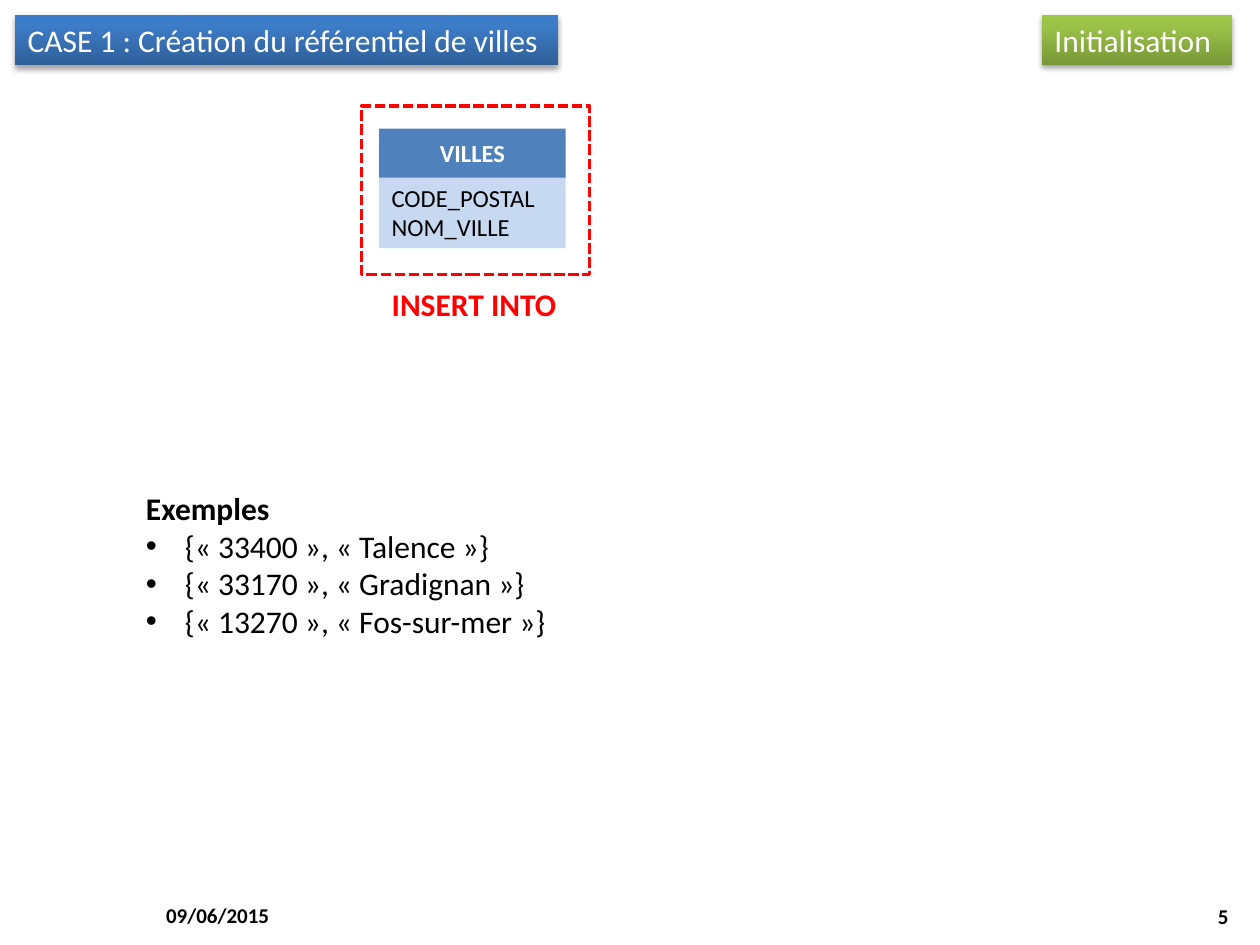
from lxml.etree import SubElement
from copy import deepcopy
from pptx import Presentation
from pptx.dml.color import RGBColor
from pptx.enum.dml import MSO_LINE
from pptx.enum.shapes import MSO_SHAPE
from pptx.enum.text import MSO_ANCHOR, MSO_AUTO_SIZE, PP_ALIGN
from pptx.oxml.ns import qn
from pptx.util import Inches, Pt

FONT = "Calibri"
BLACK, WHITE, RED = "000000", "FFFFFF", "FF0000"
BLUE = ("2F5F99", "3D7CC7", "3A7CCB")
GREEN = ("779737", "9BC348", "9DC746")
STOPS = (0, 0.8, 1)
INDENT = Inches(0.31)


def color(code):
    return RGBColor.from_string(code)


class Deck:
    def __init__(self):
        self.prs = Presentation()
        self.prs.slide_width = Inches(10)
        self.prs.slide_height = Inches(7.5)
        self.slide = self.prs.slides.add_slide(self.prs.slide_layouts[5])

    def place(self, shape, box):
        shape.left, shape.top, shape.width, shape.height = map(Inches, box)

    def letter(self, shape, text, size=18, ink=BLACK, bold=False,
               align=PP_ALIGN.LEFT, anchor=MSO_ANCHOR.TOP, wrap=True):
        frame = shape.text_frame
        frame.text = text
        frame.word_wrap = wrap
        frame.auto_size = MSO_AUTO_SIZE.NONE
        frame.vertical_anchor = anchor
        for para in frame.paragraphs:
            para.alignment = align
            for run in para.runs:
                font = run.font
                font.name, font.size, font.bold = FONT, Pt(size), bold
                font.color.rgb = color(ink)

    def shade(self, shape, tones):
        fill = shape.fill
        fill.gradient()
        fill.gradient_angle = 90
        last = next(shape._element.iter(qn("a:gsLst")))[-1]
        last.addnext(deepcopy(last))
        for stop, tone, spot in zip(fill.gradient_stops, tones, STOPS):
            stop.color.rgb = color(tone)
            stop.position = spot

    def shadow(self, shape):
        shape.shadow.inherit = False
        effects = next(shape._element.iter(qn("a:effectLst")))
        outer = SubElement(effects, qn("a:outerShdw"), blurRad=str(Pt(3.1)),
                           dist=str(Pt(1.8)), dir="5400000", rotWithShape="0")
        tint = SubElement(outer, qn("a:srgbClr"), val=BLACK)
        SubElement(tint, qn("a:alpha"), val="35000")

    def banner(self, shape, text, tones, wrap):
        shape.line.fill.background()
        self.shade(shape, tones)
        self.shadow(shape)
        self.letter(shape, text, ink=WHITE, wrap=wrap)

    def title(self, box, text, tones):
        shape = self.slide.shapes.title
        self.place(shape, box)
        self.banner(shape, text, tones, False)

    def tag(self, box, text, tones):
        shape = self.slide.shapes.add_shape(MSO_SHAPE.RECTANGLE, *map(Inches, box))
        self.banner(shape, text, tones, True)

    def block(self, group, kind, box, fill, text, **style):
        shape = group.shapes.add_shape(kind, *map(Inches, box))
        shape.shadow.inherit = False
        shape.fill.solid()
        shape.fill.fore_color.rgb = color(fill)
        shape.line.fill.background()
        self.letter(shape, text, size=14, **style)
        return shape

    def entity(self, left, top, width, name, fields):
        group = self.slide.shapes.add_group_shape()
        self.block(group, MSO_SHAPE.RECTANGLE, (left, top + 0.38, width, 0.57),
                   "C6D9F1", "\n".join(fields))
        head = self.block(group, MSO_SHAPE.SNIP_2_SAME_RECTANGLE,
                          (left, top, width, 0.39), "4F81BD", name, ink=WHITE,
                          bold=True, align=PP_ALIGN.CENTER,
                          anchor=MSO_ANCHOR.MIDDLE)
        head.adjustments[0] = head.adjustments[1] = 0

    def frame(self, box):
        shape = self.slide.shapes.add_shape(MSO_SHAPE.RECTANGLE, *map(Inches, box))
        shape.shadow.inherit = False
        shape.fill.background()
        shape.line.color.rgb = color(RED)
        shape.line.width = Pt(2)
        shape.line.dash_style = MSO_LINE.SQUARE_DOT

    def label(self, box, text, **style):
        shape = self.slide.shapes.add_textbox(*map(Inches, box))
        self.letter(shape, text, **style)
        return shape

    def bullets(self, box, head, items):
        shape = self.label(box, "\n".join([head, *items]), wrap=False)
        first, *rest = shape.text_frame.paragraphs
        first.runs[0].font.bold = True
        for para in rest:
            props = para._p.get_or_add_pPr()
            props.set("marL", str(INDENT))
            props.set("indent", str(-INDENT))
            SubElement(props, qn("a:buFont"), typeface="Arial")
            SubElement(props, qn("a:buChar"), char="•")


def main():
    deck = Deck()
    foot = dict(size=12, bold=True, anchor=MSO_ANCHOR.MIDDLE)
    deck.label((1.22, 7.06, 2.33, 0.4), "09/06/2015", **foot)
    deck.label((7.52, 7.07, 2.33, 0.4), "5", align=PP_ALIGN.RIGHT, **foot)
    deck.title((0.12, 0.12, 4.31, 0.4),
               "CASE 1 : Création du référentiel de villes", BLUE)
    deck.tag((8.27, 0.12, 1.51, 0.4), "Initialisation", GREEN)
    deck.entity(3.01, 1.02, 1.48, "VILLES", ("CODE_POSTAL", "NOM_VILLE"))
    deck.frame((2.87, 0.84, 1.81, 1.34))
    deck.label((3.01, 2.21, 1.52, 0.4), "INSERT INTO", ink=RED, bold=True,
               wrap=False)
    towns = (("33400", "Talence"), ("33170", "Gradignan"),
             ("13270", "Fos-sur-mer"))
    deck.bullets((1.06, 3.83, 3.42, 1.31), "Exemples",
                 [f"{{« {code} », « {town} »}}" for code, town in towns])
    deck.prs.save("out.pptx")


if __name__ == "__main__":
    main()
